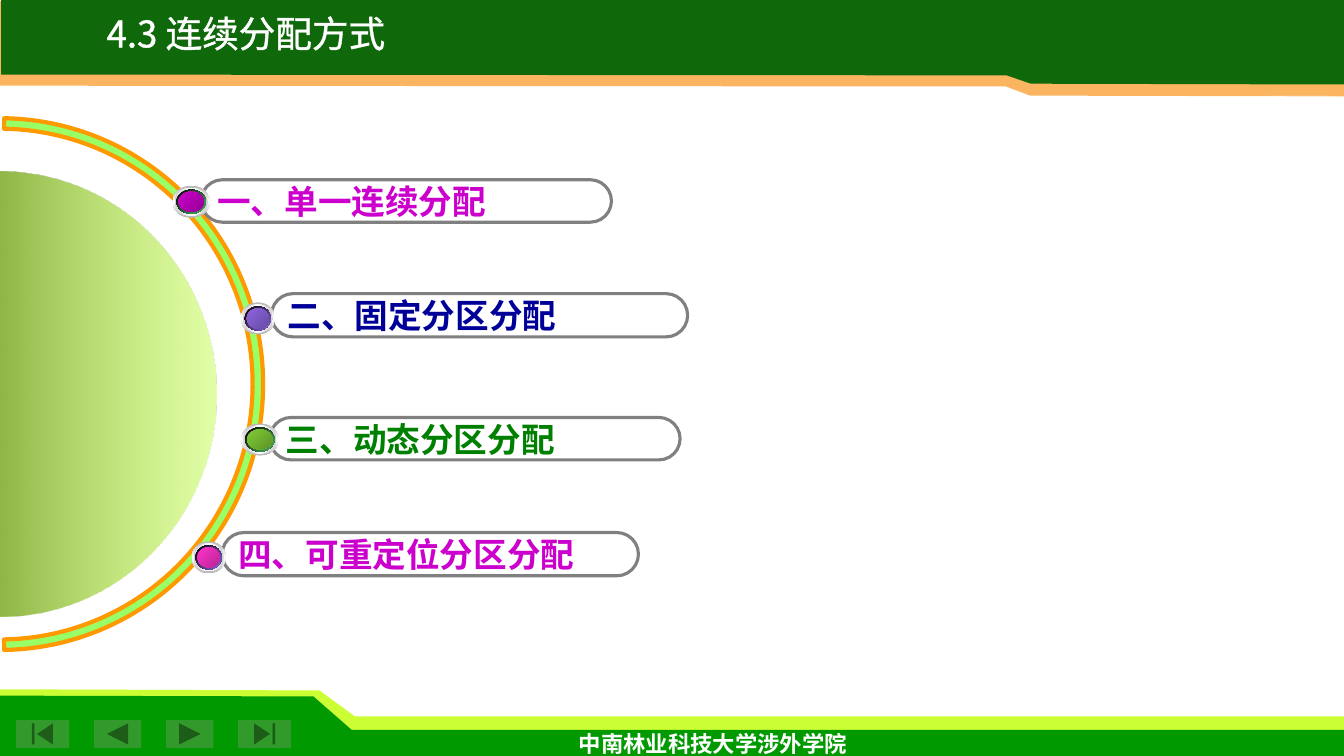
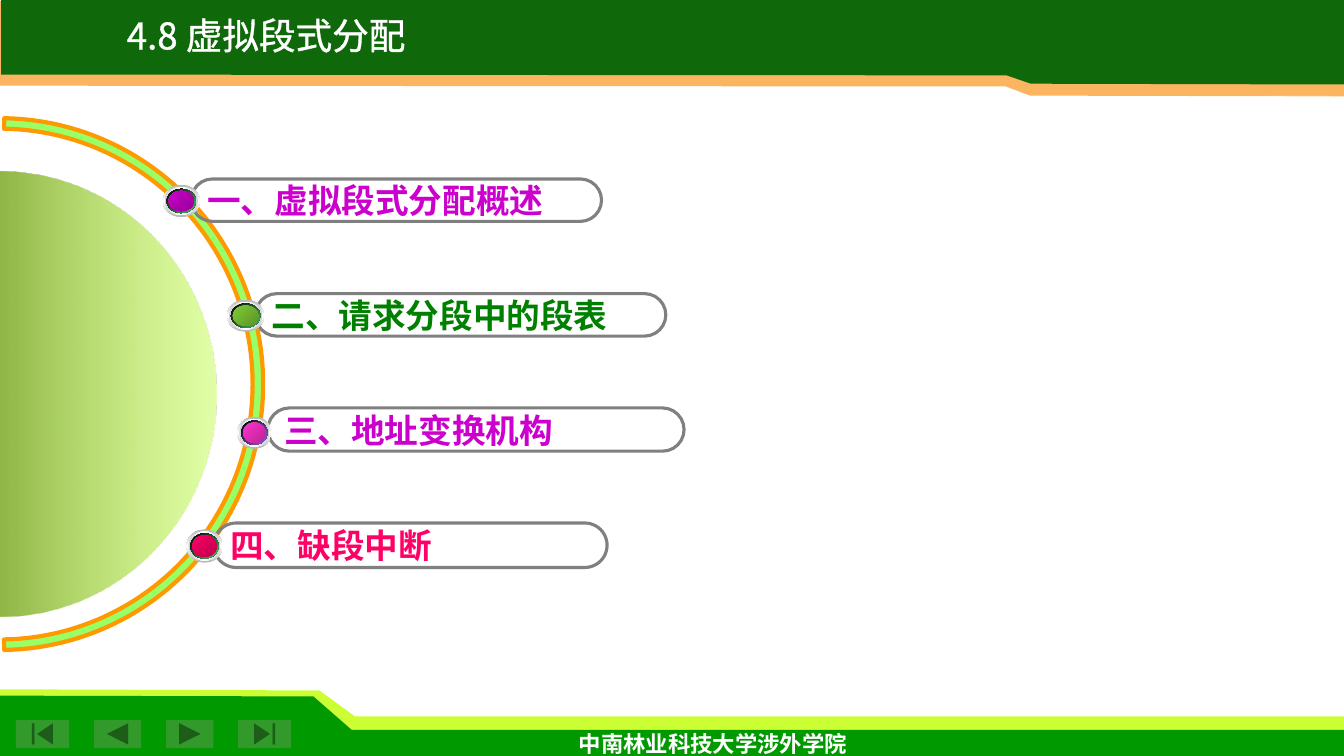
from typing import NamedTuple

from lxml import etree
from pptx import Presentation
from pptx.dml.color import RGBColor
from pptx.enum import shapes, text
from pptx.oxml.ns import qn
from pptx.util import Cm, Pt

WIDTH, HEIGHT = 33.87, 19.05

WHITE = RGBColor(0xFF, 0xFF, 0xFF)
BLACK = RGBColor(0x00, 0x00, 0x00)
GRAY = RGBColor(0x80, 0x80, 0x80)
HEADER_GREEN = RGBColor(0x0F, 0x69, 0x0B)
HEADER_ORANGE = RGBColor(0xFB, 0xB5, 0x61)
FOOTER_LIME = RGBColor(0xCC, 0xFF, 0x33)
FOOTER_GREEN = RGBColor(0x00, 0x99, 0x00)
BUTTON_GREEN = RGBColor(0x32, 0x9A, 0x2A)
ARC_FILL = RGBColor(0x99, 0xFF, 0x66)
ARC_LINE = RGBColor(0xFF, 0x99, 0x00)
DISC_LIME = RGBColor(0xCC, 0xFF, 0x66)
MAGENTA = RGBColor(0xCC, 0x00, 0xCC)
NAVY = RGBColor(0x00, 0x00, 0x99)
GREEN = RGBColor(0x00, 0x80, 0x00)
ROSE = RGBColor(0xFF, 0x00, 0x66)
PINK = RGBColor(0xFF, 0x33, 0xCC)
VIOLET = RGBColor(0x8D, 0x67, 0xE1)
LEAF = RGBColor(0x80, 0xCB, 0x35)
MINT = RGBColor(0x48, 0xBE, 0x67)
CORAL = RGBColor(0xE1, 0x5D, 0x7C)

CJK_FONT = "Noto Sans CJK SC"


class Tone(NamedTuple):
    """Gradient colour; shade and alpha are percentages."""
    color: RGBColor
    shade: float = 100
    alpha: float = 100


class ItemStyle(NamedTuple):
    """Pill size, dot offset from the pill, dot size and dot rim colour."""
    pill_w: float
    pill_h: float
    dot_dx: float
    dot_dy: float
    dot_w: float
    dot_h: float
    rim: RGBColor


WIDE_DOT = ItemStyle(10.34, 1.07, -0.72, 0.15, 0.94, 0.81, MINT)
NARROW_DOT = ItemStyle(10.49, 1.09, -0.77, 0.22, 0.86, 0.81, VIOLET)
SHORT_PILL = ItemStyle(9.91, 1.12, -0.69, 0.16, 0.91, 0.84, MINT)

# title, title left and top, then items: text, pill left and top, style, text colour, dot colour
SLIDES = [
    ("4.3 连续分配方式", 1.5, 0.36, [
        ("一、单一连续分配", 5.07, 4.53, WIDE_DOT, MAGENTA, MAGENTA),
        ("二、固定分区分配", 6.84, 7.4, NARROW_DOT, NAVY, VIOLET),
        ("三、动态分区分配", 6.8, 10.52, WIDE_DOT, GREEN, LEAF),
        ("四、可重定位分区分配", 5.6, 13.42, NARROW_DOT, MAGENTA, PINK),
    ]),
    ("4.8 虚拟段式分配", 2.01, 0.41, [
        ("一、虚拟段式分配概述", 4.82, 4.51, WIDE_DOT, MAGENTA, MAGENTA),
        ("二、请求分段中的段表", 6.44, 7.4, WIDE_DOT, GREEN, LEAF),
        ("三、地址变换机构", 6.75, 10.28, NARROW_DOT, MAGENTA, PINK),
        ("四、缺段中断", 5.39, 13.18, SHORT_PILL, ROSE, ROSE),
    ]),
]


def add_percent(color_element, tag, percent):
    if percent != 100:
        etree.SubElement(color_element, qn(tag), val=str(round(percent * 1000)))


def fill_solid(sp, color, alpha=100):
    sp.shadow.inherit = False
    sp.fill.solid()
    sp.fill.fore_color.rgb = color
    sp.line.fill.background()
    add_percent(sp.element.spPr.find(".//" + qn("a:srgbClr")), "a:alpha", alpha)


def fill_gradient(sp, tones, angle):
    """Spread the tones evenly; the angle runs clockwise in degrees."""
    sp.shadow.inherit = False
    sp.line.fill.background()
    sp.fill.gradient()
    sp.fill.gradient_angle = -angle % 360
    stops = sp.element.spPr.find(".//" + qn("a:gsLst"))
    for stop in list(stops):
        stops.remove(stop)
    for i, tone in enumerate(tones):
        stop = etree.SubElement(stops, qn("a:gs"), pos=str(100000 * i // (len(tones) - 1)))
        color = etree.SubElement(stop, qn("a:srgbClr"), val=str(tone.color))
        add_percent(color, "a:shade", tone.shade)
        add_percent(color, "a:alpha", tone.alpha)


def add_preset(group, preset, x, y, w, h):
    return group.add_shape(preset, Cm(x), Cm(y), Cm(w), Cm(h))


def add_polygon(s, points):
    start, *rest = [(Cm(x), Cm(y)) for x, y in points]
    builder = s.shapes.build_freeform(*start)
    builder.add_line_segments(rest, close=True)
    return builder.convert_to_shape()


def write(tf, content, font, size, color, bold, align):
    p = tf.paragraphs[0]
    p.alignment = align
    r = p.add_run()
    r.text = content
    r.font.name = font
    r.font.size = Pt(size)
    r.font.bold = bold
    r.font.color.rgb = color
    ea = etree.Element(qn("a:ea"), typeface=CJK_FONT)
    r.font._element.find(qn("a:latin")).addnext(ea)
    return p


def outline_text(r, color, width):
    ln = etree.Element(qn("a:ln"), w=str(Pt(width)))
    fill = etree.SubElement(ln, qn("a:solidFill"))
    etree.SubElement(fill, qn("a:srgbClr"), val=str(color))
    r.font._element.insert(0, ln)


def add_frame(s):
    """Header and footer bands, navigation buttons and school name."""
    bands = [
        (FOOTER_LIME, 100, [(0, 17.37), (8.05, 17.4), (8.94, 18.05),
                            (WIDTH, 18.05), (WIDTH, 18.8), (0, 18.8)]),
        (FOOTER_GREEN, 100, [(0, 17.53), (7.9, 17.55), (8.86, 18.39),
                             (WIDTH, 18.39), (WIDTH, 19.08), (0, 19.12)]),
        (HEADER_ORANGE, 100, [(0, 0.03), (WIDTH, 0.03), (WIDTH, 2.43),
                              (25.96, 2.41), (25.35, 2.18), (0, 2.16)]),
        (HEADER_GREEN, 100, [(0.03, -0.08), (33.88, -0.08), (33.88, 2.13),
                             (25.98, 2.11), (25.37, 1.9), (0.03, 1.88)]),
        (WHITE, 30, [(25.53, 2.43), (33.52, 2.41), (33.5, 2.57), (25.88, 2.57)]),
    ]
    for color, alpha, points in bands:
        fill_solid(add_polygon(s, points), color, alpha)

    preset = shapes.MSO_SHAPE
    buttons = [
        (preset.ACTION_BUTTON_BACK_OR_PREVIOUS, 2.37, 1.19),
        (preset.ACTION_BUTTON_FORWARD_OR_NEXT, 4.19, 1.19),
        (preset.ACTION_BUTTON_BEGINNING, 0.4, 1.34),
        (preset.ACTION_BUTTON_END, 6, 1.34),
    ]
    for kind, x, w in buttons:
        fill_solid(add_preset(s.shapes, kind, x, 18.14, w, 0.71), BUTTON_GREEN)

    tf = s.shapes.add_textbox(Cm(12.33), Cm(18.27), Cm(11.28), Cm(0.94)).text_frame
    tf.word_wrap = True
    write(tf, "中南林业科技大学涉外学院", "Lato", 16, WHITE, True, text.PP_ALIGN.CENTER)


def move_to_layout(s, layout):
    """Hand the drawn frame to the layout, so that every slide shares it."""
    for sp in list(layout.placeholders):
        if sp.placeholder_format.type != shapes.PP_PLACEHOLDER.TITLE:
            sp.element.getparent().remove(sp.element)
    for sp in list(s.shapes):
        if not sp.is_placeholder:
            layout.shapes.element.append(sp.element)


def set_title(s, title, x, y):
    sp = s.shapes.title
    sp.left, sp.top, sp.width, sp.height = Cm(x), Cm(y), Cm(9.4), Cm(1.17)
    tf = sp.text_frame
    tf.word_wrap = True
    tf.auto_size = text.MSO_AUTO_SIZE.NONE
    tf.vertical_anchor = text.MSO_ANCHOR.TOP
    p = write(tf, title, CJK_FONT, 26.1, WHITE, False, text.PP_ALIGN.CENTER)
    p.line_spacing = 0.8
    outline_text(p.runs[0], WHITE, 1.5)


def add_half_ring(s, x, y, w, h, start, end, thickness):
    """Block arc turned to the right; angles in degrees, thickness as a share of the size."""
    arc = add_preset(s.shapes, shapes.MSO_SHAPE.BLOCK_ARC, x, y, w, h)
    arc.rotation = 90
    # Angles are stored in 60000ths of a degree, adjustments in 100000ths.
    for i, value in enumerate((start * 0.6, end * 0.6, thickness)):
        arc.adjustments[i] = value
    return arc


def add_dial(s):
    """Half ring and shaded half disc at the left edge."""
    arc = add_half_ring(s, -6.7, 3.05, 13.4, 13.26, 180.9, 359.1, 0.02)
    fill_solid(arc, ARC_FILL)
    arc.line.color.rgb = ARC_LINE
    arc.line.width = Pt(3)
    disc = add_half_ring(s, -5.6, 4.47, 11.2, 10.92, 180, 0, 0.5)
    light = Tone(DISC_LIME, alpha=56)
    fill_gradient(disc, [light, Tone(DISC_LIME, shade=46.28), light], 90)


def add_item(s, label, x, y, style, text_color, dot_color):
    """Outlined pill with its label and a round button on the ring."""
    group = s.shapes.add_group_shape().shapes
    pill = add_preset(group, shapes.MSO_SHAPE.ROUNDED_RECTANGLE, x, y, style.pill_w, style.pill_h)
    pill.adjustments[0] = 0.5
    pill.shadow.inherit = False
    pill.fill.background()
    pill.line.color.rgb = GRAY
    pill.line.width = Pt(2.25)
    tf = pill.text_frame
    tf.word_wrap = True
    tf.vertical_anchor = text.MSO_ANCHOR.MIDDLE
    write(tf, label, "Arial", 24, text_color, True, text.PP_ALIGN.LEFT)

    white, silver, pale = Tone(WHITE), Tone(WHITE, 46.28), Tone(WHITE, 63.53)
    coral, dark_coral = Tone(CORAL), Tone(CORAL, 54.9)
    layers = [
        (0, [silver, white, silver], 90),
        (0.05, [pale, white, pale], 0),
        (0.1, [white, coral, white], 45),
        (0.1, [Tone(BLACK), Tone(style.rim)], 45),
        (0.15, [dark_coral, coral, dark_coral], 315),
        (0.15, [Tone(dot_color), Tone(dot_color, 49.02)], 45),
    ]
    for inset, tones, angle in layers:
        dot = add_preset(group, shapes.MSO_SHAPE.OVAL,
                         x + style.dot_dx + inset, y + style.dot_dy + inset,
                         style.dot_w - 2 * inset, style.dot_h - 2 * inset)
        fill_gradient(dot, tones, angle)


def main():
    prs = Presentation()
    prs.slide_width, prs.slide_height = Cm(WIDTH), Cm(HEIGHT)
    layout = prs.slide_layouts[5]
    for i, (title, x, y, items) in enumerate(SLIDES):
        s = prs.slides.add_slide(layout)
        if i == 0:
            add_frame(s)
            move_to_layout(s, layout)
        set_title(s, title, x, y)
        add_dial(s)
        for item in items:
            add_item(s, *item)
    prs.save("out.pptx")


if __name__ == "__main__":
    main()
